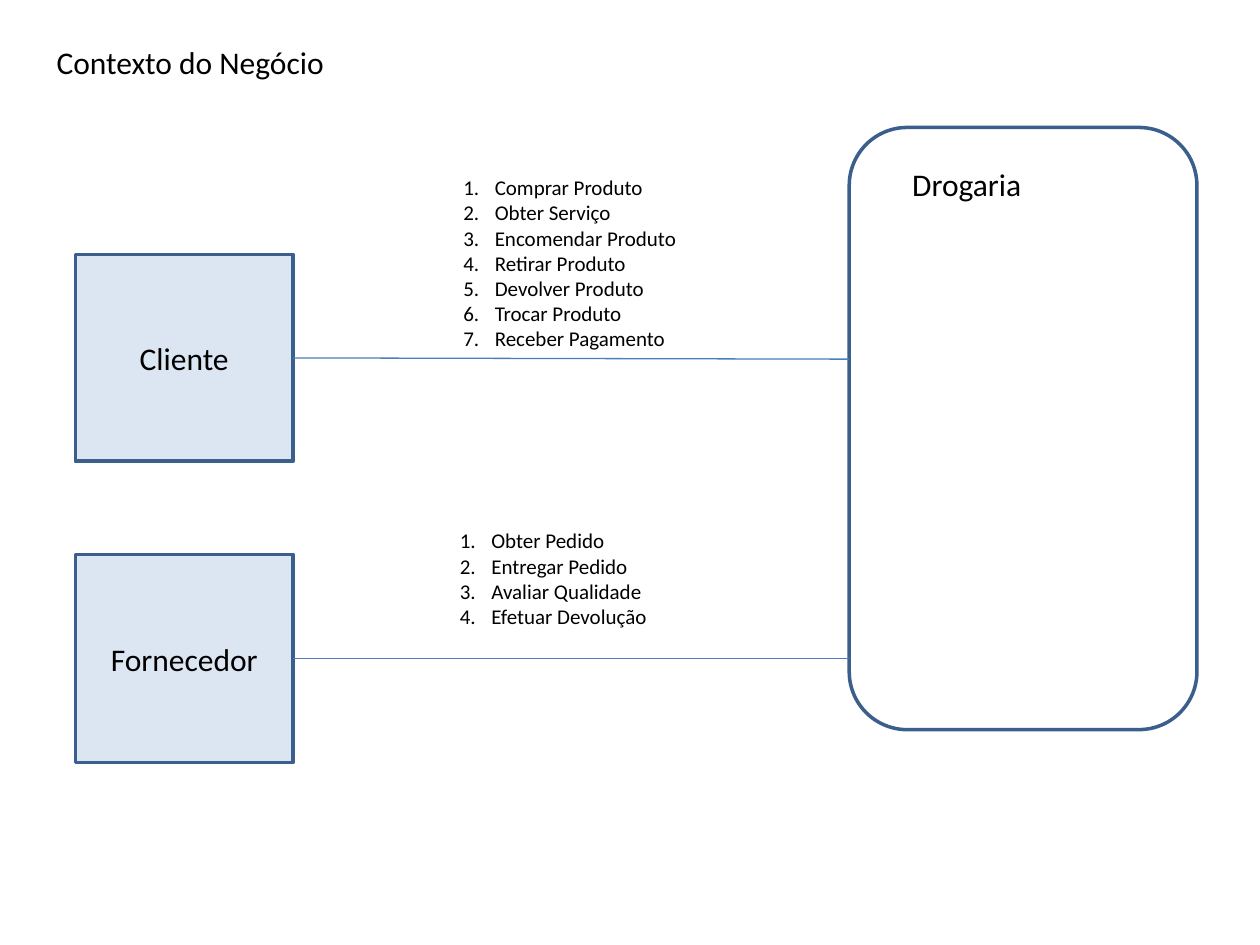
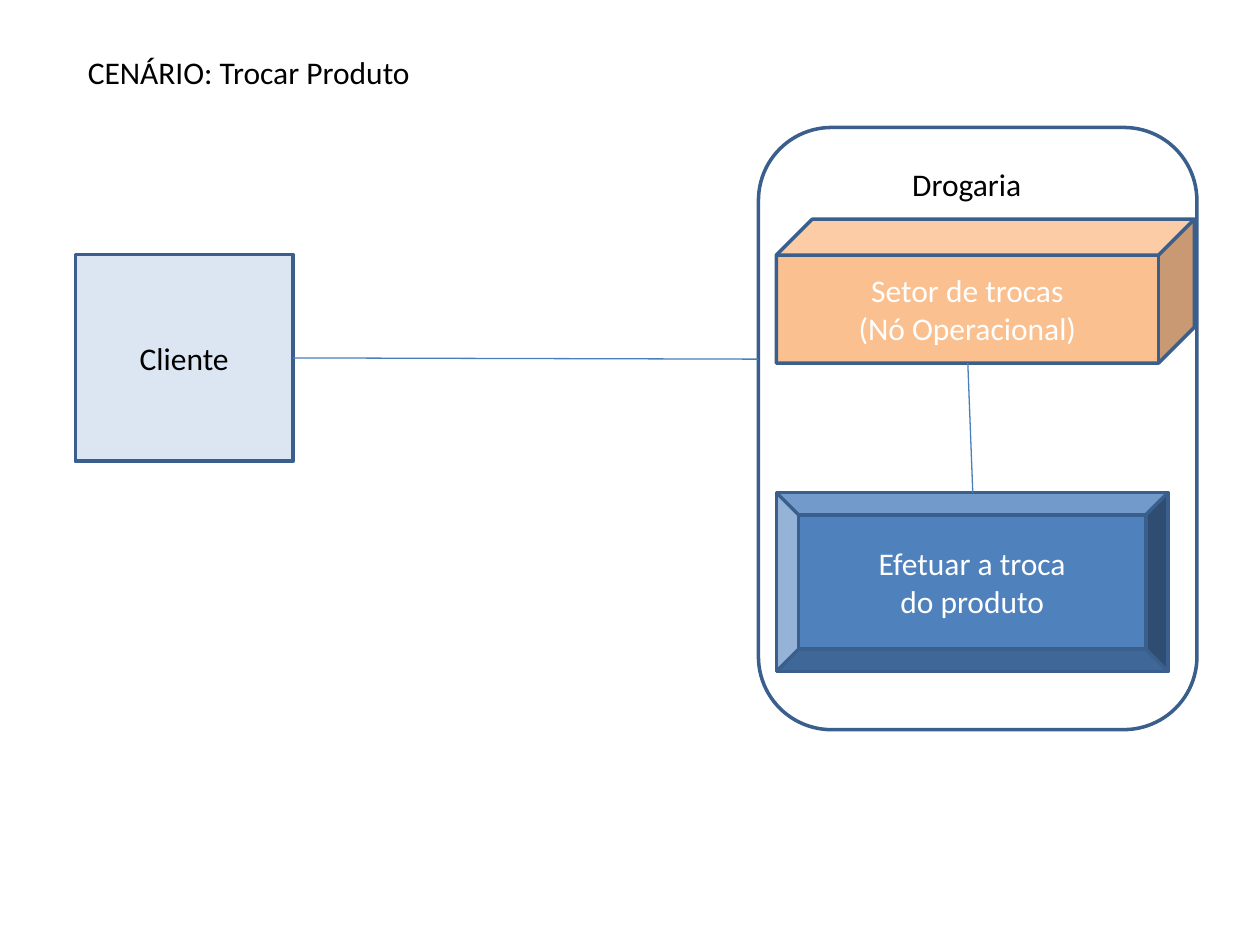
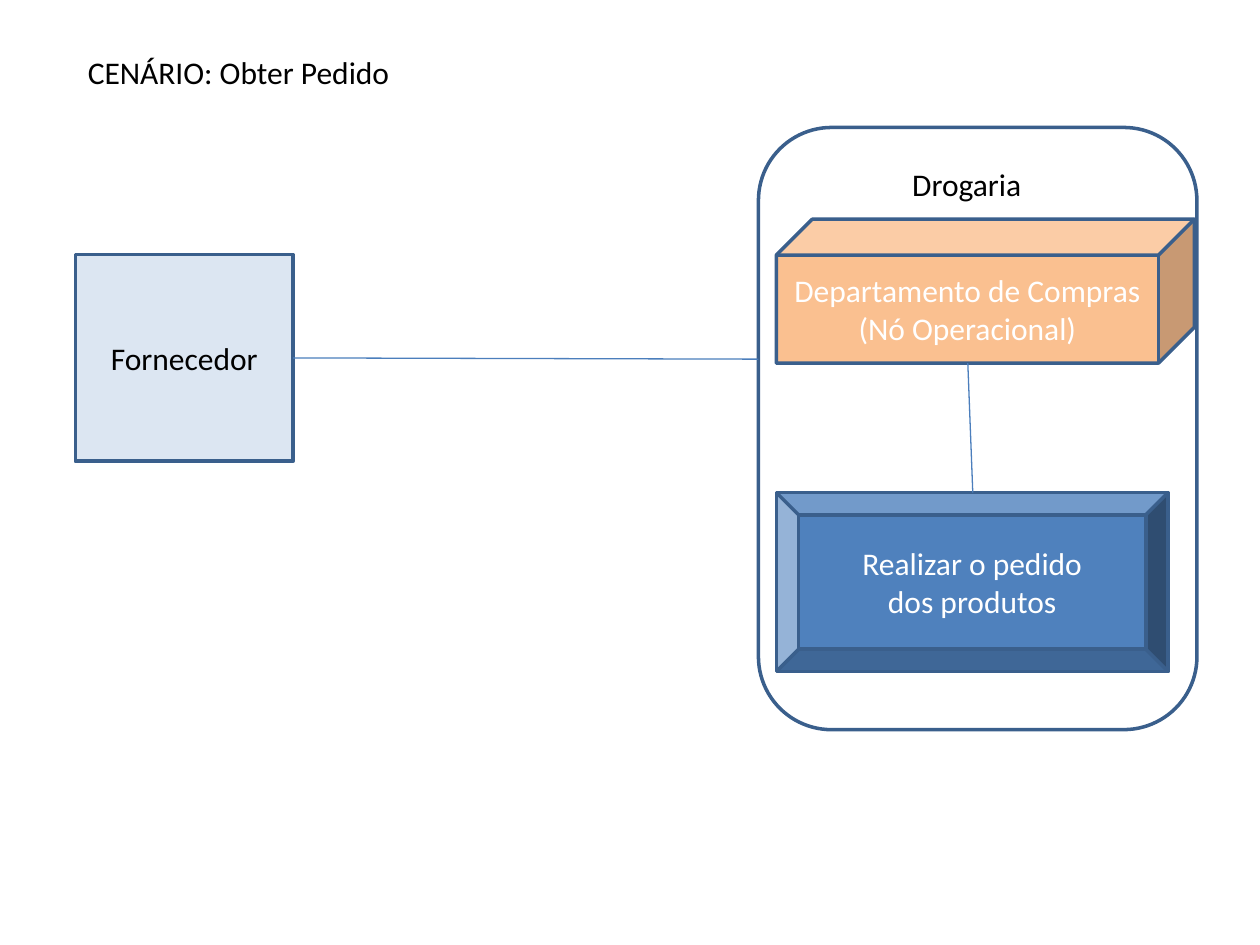
from dataclasses import dataclass
from typing import NamedTuple, Optional

from lxml import etree
from pptx import Presentation
from pptx import util as u
from pptx.dml.color import RGBColor
from pptx.enum import shapes, text
from pptx.oxml import ns


@dataclass(frozen=True)
class Theme:
    font: str = "Calibri"
    body_size: float = 18
    list_size: float = 12
    outline_width: float = 2
    link_width: float = 0.75
    dark: RGBColor = RGBColor(0x00, 0x00, 0x00)
    light: RGBColor = RGBColor(0xFF, 0xFF, 0xFF)
    outline: RGBColor = RGBColor(0x3A, 0x5F, 0x8C)
    link: RGBColor = RGBColor(0x4B, 0x7E, 0xBC)
    actor: RGBColor = RGBColor(0xDC, 0xE6, 0xF2)
    node: RGBColor = RGBColor(0xFA, 0xC0, 0x90)
    activity: RGBColor = RGBColor(0x4F, 0x81, 0xBD)


class Area(NamedTuple):
    left: float
    top: float
    width: float
    height: float

    @property
    def right(self) -> float:
        return self.left + self.width

    @property
    def bottom(self) -> float:
        return self.top + self.height

    @property
    def middle(self) -> float:
        return self.top + self.height / 2

    def lengths(self) -> list:
        return [u.Cm(value) for value in self]


@dataclass(frozen=True)
class Actor:
    name: str
    area: Area
    link_end: float
    services: tuple[str, ...] = ()
    services_area: Optional[Area] = None


@dataclass(frozen=True)
class Scenario:
    title: str
    title_width: float
    actor: str
    node: tuple[str, ...]
    activity: str


THEME = Theme()
FIRST_ACTOR = Area(1.52, 5.13, 4.39, 4.17)
SECOND_ACTOR = Area(1.52, 11.18, 4.39, 4.19)
FIRST_LINK_END = 7.24
STORE_RIGHT = 24.13
NARROW_STORE = 7.01
WIDE_STORE = 8.84
STORE_LABEL = Area(18.14, 3.2, 3.99, 1.02)
NODE = Area(15.65, 4.42, 8.43, 2.9)
ACTIVITY = Area(15.65, 9.93, 7.9, 3.61)
NODE_LINK_LEFT = 19.51
ACTIVITY_LINK_LEFT = 19.61
LIST_INDENT = 0.635

CONTEXT = (
    Actor("Cliente", FIRST_ACTOR, FIRST_LINK_END,
          ("Comprar Produto", "Obter Serviço", "Encomendar Produto",
           "Retirar Produto", "Devolver Produto", "Trocar Produto",
           "Receber Pagamento"),
          Area(9.09, 3.4, 5.21, 3.84)),
    Actor("Fornecedor", SECOND_ACTOR, SECOND_ACTOR.middle,
          ("Obter Pedido", "Entregar Pedido", "Avaliar Qualidade",
           "Efetuar Devolução"),
          Area(9.02, 10.52, 7.8, 2.82)),
)

SCENARIOS = (
    Scenario("CENÁRIO: Trocar Produto", 9.58, "Cliente",
             ("Setor de trocas", "(Nó Operacional)"),
             "Efetuar a troca do\u00a0produto"),
    Scenario("CENÁRIO: Obter Pedido", 10.67, "Fornecedor",
             ("Departamento de Compras", "(Nó Operacional)"),
             "Realizar o pedido dos\u00a0produtos"),
)


def write(frame, lines: tuple[str, ...], color: RGBColor = THEME.dark,
          size: float = THEME.body_size,
          alignment=text.PP_ALIGN.LEFT) -> None:
    frame.word_wrap = True
    for index, line in enumerate(lines):
        paragraph = frame.add_paragraph() if index else frame.paragraphs[0]
        paragraph.alignment = alignment
        run = paragraph.add_run()
        run.text = line
        run.font.name = THEME.font
        run.font.size = u.Pt(size)
        run.font.color.rgb = color


def add_text(slide, area: Area, lines: tuple[str, ...],
             size: float = THEME.body_size):
    frame = slide.shapes.add_textbox(*area.lengths()).text_frame
    write(frame, lines, size=size)
    frame.auto_size = text.MSO_AUTO_SIZE.SHAPE_TO_FIT_TEXT
    return frame


def add_numbered_list(slide, area: Area, lines: tuple[str, ...]) -> None:
    frame = add_text(slide, area, lines, THEME.list_size)
    indent = u.Cm(LIST_INDENT)
    for paragraph in frame.paragraphs:
        properties = paragraph._p.get_or_add_pPr()
        properties.set("marL", str(indent))
        properties.set("indent", str(-indent))
        etree.SubElement(properties, ns.qn("a:buFont"), typeface="+mj-lt")
        etree.SubElement(properties, ns.qn("a:buAutoNum"), type="arabicPeriod")


def add_block(slide, kind, area: Area, fill: RGBColor,
              lines: tuple[str, ...] = (),
              color: RGBColor = THEME.light) -> None:
    shape = slide.shapes.add_shape(kind, *area.lengths())
    shape.shadow.inherit = False
    shape.fill.solid()
    shape.fill.fore_color.rgb = fill
    shape.line.color.rgb = THEME.outline
    shape.line.width = u.Pt(THEME.outline_width)
    shape.text_frame.vertical_anchor = text.MSO_ANCHOR.MIDDLE
    write(shape.text_frame, lines, color, alignment=text.PP_ALIGN.CENTER)


def add_link(slide, start: tuple[float, float],
             end: tuple[float, float]) -> None:
    points = [u.Cm(value) for value in (*start, *end)]
    connector = slide.shapes.add_connector(
        shapes.MSO_CONNECTOR.STRAIGHT, *points)
    connector.line.color.rgb = THEME.link
    connector.line.width = u.Pt(THEME.link_width)
    etree.SubElement(connector._element.spPr, ns.qn("a:effectLst"))


def add_store(slide, width: float) -> Area:
    area = Area(STORE_RIGHT - width, 2.57, width, 12.14)
    add_block(slide, shapes.MSO_SHAPE.ROUNDED_RECTANGLE, area, THEME.light)
    add_text(slide, STORE_LABEL, ("Drogaria",))
    return area


def add_actor(slide, actor: Actor, store: Area) -> None:
    add_block(slide, shapes.MSO_SHAPE.RECTANGLE, actor.area, THEME.actor,
              (actor.name,), THEME.dark)
    add_link(slide, (actor.area.right, actor.area.middle),
             (store.left, actor.link_end))
    if actor.services_area:
        add_numbered_list(slide, actor.services_area, actor.services)


def add_slide(presentation, title: str, title_area: Area):
    slide = presentation.slides.add_slide(presentation.slide_layouts[6])
    add_text(slide, title_area, (title,))
    return slide


def add_context(presentation) -> None:
    slide = add_slide(presentation, "Contexto do Negócio",
                      Area(0.89, 0.74, 15.01, 1.02))
    store = add_store(slide, NARROW_STORE)
    for actor in CONTEXT:
        add_actor(slide, actor, store)


def add_scenario(presentation, scenario: Scenario) -> None:
    slide = add_slide(presentation, scenario.title,
                      Area(1.52, 0.94, scenario.title_width, 1.02))
    store = add_store(slide, WIDE_STORE)
    add_actor(slide, Actor(scenario.actor, FIRST_ACTOR, FIRST_LINK_END), store)
    add_block(slide, shapes.MSO_SHAPE.CUBE, NODE, THEME.node, scenario.node)
    add_block(slide, shapes.MSO_SHAPE.BEVEL, ACTIVITY, THEME.activity,
              (scenario.activity,))
    add_link(slide, (NODE_LINK_LEFT, NODE.bottom),
             (ACTIVITY_LINK_LEFT, ACTIVITY.top))


def main() -> None:
    presentation = Presentation()
    presentation.slide_width = u.Cm(25.4)
    presentation.slide_height = u.Cm(19.05)
    add_context(presentation)
    for scenario in SCENARIOS:
        add_scenario(presentation, scenario)
    presentation.save("out.pptx")


main()
